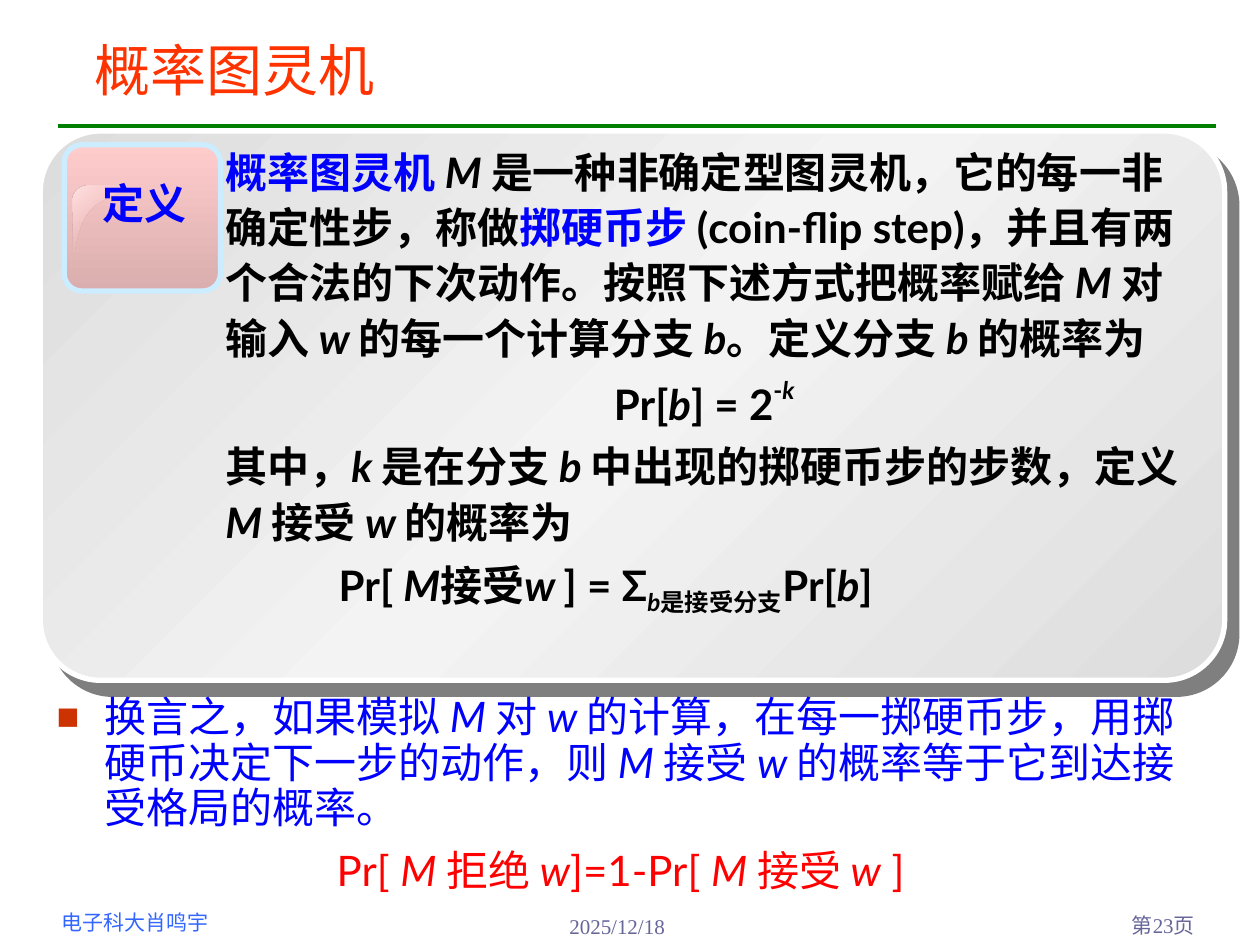
from copy import deepcopy
from dataclasses import dataclass
from typing import Optional

from lxml.etree import SubElement
from pptx import Presentation
from pptx.dml.color import RGBColor
from pptx.enum.shapes import MSO_CONNECTOR as Connector, MSO_SHAPE as Preset
from pptx.enum.text import MSO_ANCHOR as Anchor, PP_ALIGN as Align
from pptx.oxml.ns import qn
from pptx.util import Inches, Pt

COLUMNS, ROWS = 100, 75
WIDTH, HEIGHT = Inches(10), Inches(7.5)
BLACK = RGBColor(0x00, 0x00, 0x00)
WHITE = RGBColor(0xFF, 0xFF, 0xFF)
BLUE = RGBColor(0x00, 0x00, 0xFF)
RED = RGBColor(0xFF, 0x00, 0x00)
GREEN = RGBColor(0x00, 0x80, 0x00)
ORANGE = RGBColor(0xFF, 0x33, 0x00)
RUST = RGBColor(0xCC, 0x33, 0x00)
SKY = RGBColor(0x33, 0x66, 0xFF)
SLATE = RGBColor(0x66, 0x66, 0x99)
ICE = RGBColor(0xCC, 0xEC, 0xFF)
GREY = RGBColor(0xDD, 0xDD, 0xDD)
PALE = RGBColor(0xF3, 0xF3, 0xF3)
PINK = RGBColor(0xFF, 0xCC, 0xCC)
ROSE = RGBColor(0xDA, 0xAE, 0xAE)
BLUSH = RGBColor(0xFF, 0xE5, 0xE5)
LATO, SANS, SERIF, ARIAL = "Lato", "Noto Sans CJK SC", "Times New Roman", "Arial"


@dataclass
class Span:
    """Text whose parts between asterisks are italic."""
    text: str
    colour: RGBColor = BLACK
    baseline: int = 0


@dataclass
class Para:
    """A paragraph with its layout."""
    spans: list[Span]
    align: Align = Align.LEFT
    spacing: float = 1.0
    before: float = 0
    margin: float = 0
    hanging: float = 0
    bullet: Optional[RGBColor] = None


@dataclass
class TextBox:
    """A text block placed on the grid."""
    area: tuple[float, float, float, float]
    paras: list[Para]
    font: str = LATO
    size: int = 24
    bold: bool = False
    anchor: Anchor = Anchor.TOP


@dataclass
class Panel:
    """A rounded panel with a gradient and an outline."""
    area: tuple[float, float, float, float]
    radius: float
    stops: list[RGBColor]
    angle: int
    outline: RGBColor


def across(column: float) -> int:
    """Turn grid columns into a length."""
    return round(WIDTH * column / COLUMNS)


def down(row: float) -> int:
    """Turn grid rows into a length."""
    return round(HEIGHT * row / ROWS)


def place(area) -> tuple[int, int, int, int]:
    """Turn a grid area into left, top, width and height."""
    left, top, width, height = area
    return across(left), down(top), across(width), down(height)


def apply(target, values: dict) -> None:
    """Set attributes from a dict of format values."""
    for name, value in values.items():
        setattr(target, name, value)


def add_bullet(properties, colour: RGBColor) -> None:
    """Give a paragraph a square bullet."""
    SubElement(SubElement(properties, qn("a:buClr")), qn("a:srgbClr"), val=str(colour))
    SubElement(properties, qn("a:buSzPct"), val="90000")
    SubElement(properties, qn("a:buFont"), typeface=ARIAL)
    SubElement(properties, qn("a:buChar"), char="■")


def draw_span(target, span: Span, block: TextBox) -> None:
    """Write one span as upright and italic runs."""
    for index, part in enumerate(span.text.split("*")):
        if not part:
            continue
        run = target.add_run()
        run.text = part
        apply(run.font, {"name": block.font, "size": Pt(block.size),
                         "bold": block.bold, "italic": index % 2 == 1})
        run.font.color.rgb = span.colour
        properties = run.font._element
        SubElement(properties, qn("a:ea"), typeface=SANS)
        if span.baseline:
            properties.set("baseline", str(span.baseline * 1000))


def draw_text(page, block: TextBox) -> None:
    """Draw a text block."""
    frame = page.shapes.add_textbox(*place(block.area)).text_frame
    apply(frame, {"word_wrap": True, "vertical_anchor": block.anchor})
    for index, para in enumerate(block.paras):
        target = frame.add_paragraph() if index else frame.paragraphs[0]
        properties = target._p.get_or_add_pPr()
        properties.set("marL", str(across(para.margin)))
        properties.set("indent", str(-across(para.hanging)))
        if para.bullet is not None:
            add_bullet(properties, para.bullet)
        apply(target, {"alignment": para.align, "line_spacing": para.spacing,
                       "space_before": Pt(para.before)})
        for span in para.spans:
            draw_span(target, span, block)


def paint_gradient(shape, colours: list[RGBColor], angle: int) -> None:
    """Fill a shape with evenly spaced gradient stops."""
    shape.shadow.inherit = False
    shape.fill.gradient()
    shape.fill.gradient_angle = 360 - angle
    stop_list = shape._element.spPr.find(".//" + qn("a:gsLst"))
    for _ in colours[2:]:
        stop_list.append(deepcopy(stop_list[0]))
    for index, (stop, colour) in enumerate(zip(shape.fill.gradient_stops, colours)):
        stop.position = index / (len(colours) - 1)
        stop.color.rgb = colour


def draw_panel(page, panel: Panel):
    """Draw a rounded panel."""
    shape = page.shapes.add_shape(Preset.ROUNDED_RECTANGLE, *place(panel.area))
    shape.adjustments[0] = panel.radius
    paint_gradient(shape, panel.stops, panel.angle)
    shape.line.color.rgb = panel.outline
    shape.line.width = Pt(3)
    return shape


def add_shadow(shape) -> None:
    """Cast a hard half-transparent shadow to the lower right."""
    effects = shape._element.spPr.find(qn("a:effectLst"))
    shadow = SubElement(effects, qn("a:outerShdw"), blurRad="0", dist=str(Pt(10.6)),
                        dir=str(49 * 60000), algn="ctr", rotWithShape="0")
    colour = SubElement(shadow, qn("a:srgbClr"), val=str(BLACK))
    SubElement(colour, qn("a:alpha"), val="50000")


def curve(points, steps: int = 12) -> list[tuple[int, int]]:
    """Sample a cubic curve given in grid units."""
    samples = []
    for step in range(1, steps + 1):
        t = step / steps
        weights = ((1 - t) ** 3, 3 * t * (1 - t) ** 2, 3 * t * t * (1 - t), t ** 3)
        x, y = (sum(w * p[axis] for w, p in zip(weights, points)) for axis in (0, 1))
        samples.append((across(x), down(y)))
    return samples


def draw_gloss(page) -> None:
    """Draw the highlight in the corner of the badge."""
    corner, low, middle, tip = (7.1, 14.7), (5.8, 20.5), (7.5, 16.4), (11.9, 14.7)
    outline = (curve([corner, (6.4, 14.7), (5.8, 15.2), (5.8, 15.9)])
               + curve([low, (6.1, 20.5), (6, 17.7), middle])
               + curve([middle, (9, 15.1), (12, 15), tip]))
    builder = page.shapes.build_freeform(across(corner[0]), down(corner[1]))
    builder.add_line_segments(outline, close=True)
    gloss = builder.convert_to_shape()
    paint_gradient(gloss, [BLUSH, PINK, BLUSH], 45)
    middle_colour = gloss._element.spPr.findall(".//" + qn("a:gs"))[1][0]
    SubElement(middle_colour, qn("a:alpha"), val="0")
    gloss.line.fill.background()


def draw_rule(page) -> None:
    """Draw the green rule under the title."""
    rule = page.shapes.add_connector(Connector.STRAIGHT, across(4.6), down(10), across(96.5), down(10))
    rule.line.color.rgb = GREEN
    rule.line.width = Pt(2.25)
    SubElement(rule._element.spPr, qn("a:effectLst"))


CARD = Panel((3.2, 10.4, 94, 43.6), 0.11, [GREY, PALE, GREY], 45, WHITE)
BADGE = Panel((5.1, 11.5, 12.4, 11.6), 0.12, [PINK, ROSE], 90, ICE)
DEFINITION = [
    Para([Span("概率图灵机 ", BLUE), Span("*M *是一种非确定型图灵机，它的每一非确定性步，称做"),
          Span("掷硬币步 ", BLUE),
          Span("(coin-flip step)，并且有两个合法的下次动作。按照下述方式把概率赋给 *M *对输入 "
               "*w *的每一个计算分支 *b*。定义分支 *b *的概率为")], spacing=1.1),
    Para([Span("Pr[*b*] = 2"), Span("-*k*", baseline=50)], Align.CENTER, 1.1, 4),
    Para([Span("其中，*k *是在分支 *b *中出现的掷硬币步的步数，定义 *M *接受 *w *的概率为")],
         spacing=1.1, before=4),
    Para([Span("Pr[ *M*接受*w *] = Σ"), Span("*b*是接受分支", baseline=-25), Span("Pr[*b*]")],
         spacing=1.1, before=4, margin=9),
]
REMARK = [
    Para([Span("换言之，如果模拟 *M *对 *w *的计算，在每一掷硬币步，用掷硬币决定下一步的动作，"
               "则 *M *接受 *w *的概率等于它到达接受格局的概率。", BLUE)],
         spacing=0.9, margin=3.8, hanging=3.8, bullet=RUST),
    Para([Span("Pr[ *M *拒绝 *w*]=1-Pr[ *M *接受 *w* ]", RED)],
         Align.CENTER, 0.9, 10, 3.8, 3.8),
]
TEXTS = [
    TextBox((3.9, 71.7, 20.1, 3), [Para([Span("电子科大肖鸣宇", SKY)])], ARIAL, 12),
    TextBox((44.2, 72, 19.9, 3), [Para([Span("2025/12/18", SLATE)])], SERIF, 12),
    TextBox((87, 71.9, 8.8, 3), [Para([Span("第23页", SLATE)], Align.RIGHT)], SERIF, 12),
    TextBox((6.8, 13.6, 9.4, 5), [Para([Span("定义", BLUE)], Align.CENTER)], SANS, bold=True),
    TextBox((16.9, 10.7, 78, 42.4), DEFINITION, bold=True),
    TextBox((6.5, 2.1, 88.3, 6.7), [Para([Span("概率图灵机", ORANGE)])], SANS, 32, anchor=Anchor.MIDDLE),
    TextBox((3.5, 54.8, 91.5, 16.5), REMARK),
]


def main() -> None:
    """Build and save the deck."""
    deck = Presentation()
    apply(deck, {"slide_width": WIDTH, "slide_height": HEIGHT})
    page = deck.slides.add_slide(deck.slide_layouts[6])
    draw_rule(page)
    add_shadow(draw_panel(page, CARD))
    draw_panel(page, BADGE)
    draw_gloss(page)
    for block in TEXTS:
        draw_text(page, block)
    deck.save("out.pptx")


if __name__ == "__main__":
    main()
